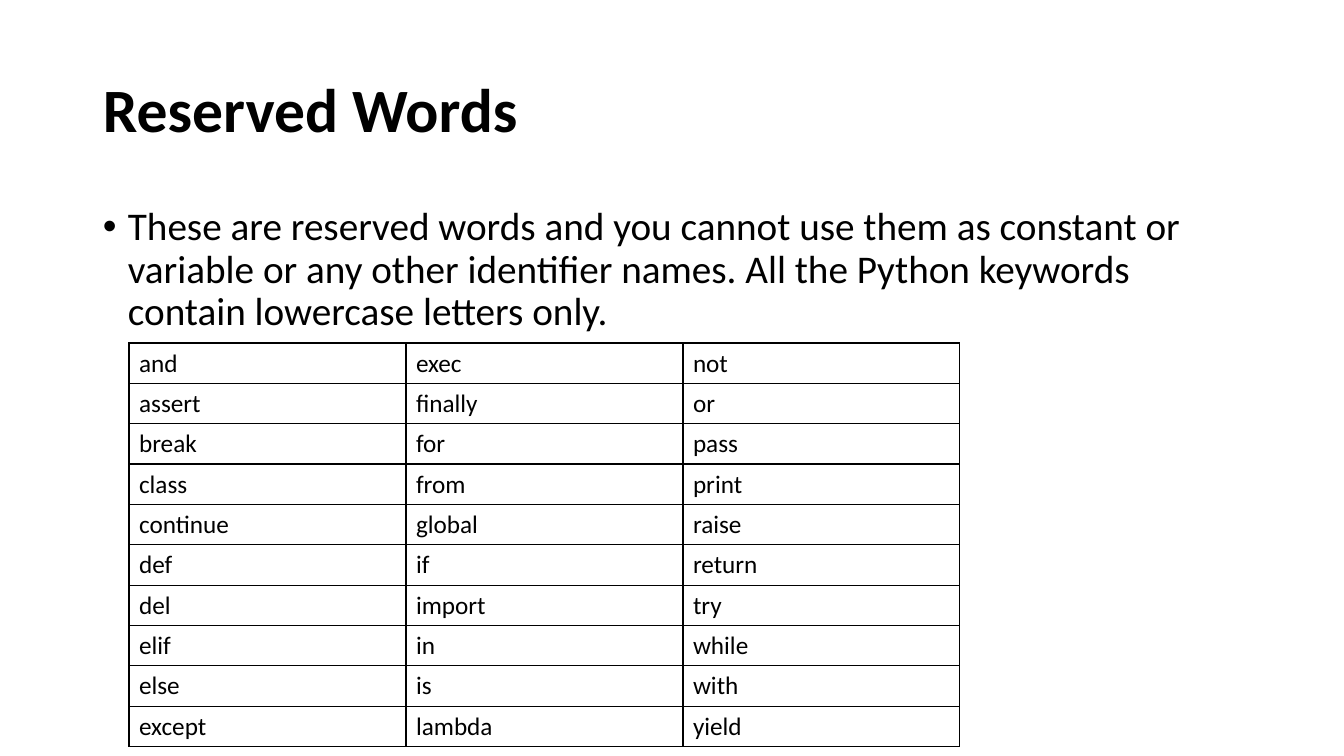
import pptx
import pptx.dml.color
import pptx.enum.text
import pptx.oxml
import pptx.oxml.ns
import pptx.util

EMU_PER_PX = 914400 / 100.8
COLORS = {"text": "000000", "border": "000000", "background": "FFFFFF"}
FONT_NAME = "Calibri"
ANCHORS = pptx.enum.text.MSO_ANCHOR

TITLE = "Reserved Words"
EXPLANATION = (
    "These are reserved words and you cannot use them as constant or variable "
    "or any other identifier names. All the Python keywords contain lowercase "
    "letters only."
)
KEYWORD_COLUMNS = [
    "and assert break class continue def del elif else except".split(),
    "exec finally for from global if import in is lambda".split(),
    "not or pass print raise return try while with yield".split(),
]
COLUMN_WIDTH = 277
ROW_HEIGHT = 40


def px(length):
    return pptx.util.Emu(round(length * EMU_PER_PX))


def rgb(name):
    return pptx.dml.color.RGBColor.from_string(COLORS[name])


def set_attributes(target, values):
    for name, value in values.items():
        setattr(target, name, value)


def write_text(paragraph, text, size, bold=False):
    paragraph.text = text
    font_format = {"name": FONT_NAME, "size": pptx.util.Pt(size), "bold": bold}
    font = paragraph.runs[0].font
    set_attributes(font, font_format)
    font.color.rgb = rgb("text")


def add_bullet(paragraph, indent):
    properties = paragraph._p.get_or_add_pPr()
    properties.set("marL", str(px(indent)))
    properties.set("indent", str(-px(indent)))
    namespace = pptx.oxml.ns.nsdecls("a")
    for element in ('buFont typeface="Arial"', 'buChar char="•"'):
        properties.append(pptx.oxml.parse_xml(f"<a:{element} {namespace}/>"))


def add_text_box(slide, bounds, text, size, anchor, bold=False, bullet_indent=0):
    box = slide.shapes.add_textbox(*map(px, bounds))
    frame = box.text_frame
    set_attributes(frame, {"word_wrap": True, "vertical_anchor": anchor})
    paragraph = frame.paragraphs[0]
    if bullet_indent:
        add_bullet(paragraph, bullet_indent)
    paragraph.line_spacing = 0.9
    write_text(paragraph, text, size, bold)


def add_cell_borders(cell):
    properties = cell._tc.get_or_add_tcPr()
    for side in ("lnL", "lnR", "lnT", "lnB"):
        properties.append(pptx.oxml.parse_xml(
            f'<a:{side} {pptx.oxml.ns.nsdecls("a")} w="{pptx.util.Pt(1)}">'
            f'<a:solidFill><a:srgbClr val="{COLORS["border"]}"/></a:solidFill>'
            f"</a:{side}>"
        ))


def add_keyword_table(slide, left, top, columns):
    row_count, column_count = len(columns[0]), len(columns)
    size = (column_count * COLUMN_WIDTH, row_count * ROW_HEIGHT)
    frame = slide.shapes.add_table(
        row_count, column_count, *map(px, (left, top, *size))
    )
    table = frame.table
    set_attributes(table, {"first_row": False, "horz_banding": False})
    for column_index, keywords in enumerate(columns):
        for row_index, keyword in enumerate(keywords):
            cell = table.cell(row_index, column_index)
            add_cell_borders(cell)
            cell.fill.background()
            cell.vertical_anchor = ANCHORS.MIDDLE
            write_text(cell.text_frame.paragraphs[0], keyword, 18)


def main():
    presentation = pptx.Presentation()
    set_attributes(presentation, {"slide_width": px(1344), "slide_height": px(756)})
    slide = presentation.slides.add_slide(presentation.slide_layouts[6])
    background = slide.background.fill
    background.solid()
    background.fore_color.rgb = rgb("background")

    add_text_box(slide, (93, 40, 1159, 146), TITLE, 44, ANCHORS.MIDDLE, bold=True)
    add_text_box(
        slide, (93, 202, 1159, 480), EXPLANATION, 28, ANCHORS.TOP, bullet_indent=25
    )
    add_keyword_table(slide, 129, 343, KEYWORD_COLUMNS)
    presentation.save("out.pptx")


if __name__ == "__main__":
    main()
